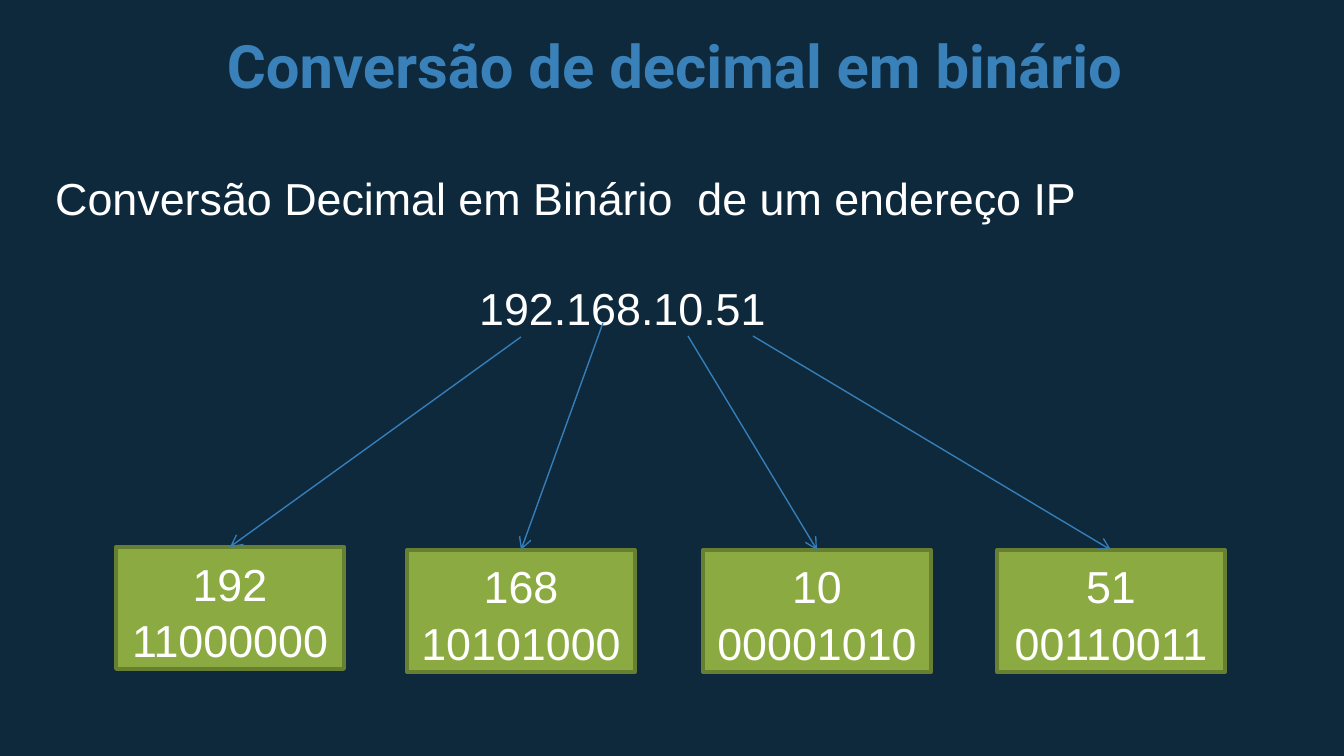
import pptx
import pptx.util
import pptx.dml.color
import pptx.enum.shapes
import pptx.enum.text
import pptx.oxml
import pptx.oxml.ns
from lxml import etree

RGBColor = pptx.dml.color.RGBColor
ALIGN = pptx.enum.text.PP_ALIGN
ANCHOR = pptx.enum.text.MSO_ANCHOR

NAVY = RGBColor(0x0E, 0x29, 0x3C)
TITLE_BLUE = RGBColor(0x3A, 0x81, 0xBA)
ARROW_BLUE = RGBColor(0x36, 0x7E, 0xB9)
GREEN = RGBColor(0x8B, 0xAB, 0x42)
DARK_GREEN = RGBColor(0x67, 0x7F, 0x31)
WHITE = RGBColor(0xFF, 0xFF, 0xFF)

# Content
TITLE = "Conversão de decimal em binário"
SUBTITLE = "Conversão Decimal em Binário  de um endereço IP"
ADDRESS = "192.168.10.51"
# decimal, binary, box left, box top, arrow start
OCTETS = [
    ("192", "11000000", 116, 547, (521, 337)),
    ("168", "10101000", 407, 550, (603, 323)),
    ("10", "00001010", 703, 550, (688, 336)),
    ("51", "00110011", 997, 550, (753, 336)),
]
BOX_WIDTH, BOX_HEIGHT = 228, 122


def px(length):
    return pptx.util.Emu(round(length * 914400 / 134.4))


def write(shape, lines, size=24, font="Arial", color=WHITE, bold=False,
          align=ALIGN.LEFT, anchor=ANCHOR.TOP, wrap=True, line_spacing=1.05):
    frame = shape.text_frame
    frame.word_wrap = wrap
    frame.vertical_anchor = anchor
    for index, line in enumerate(lines):
        paragraph = frame.add_paragraph() if index else frame.paragraphs[0]
        paragraph.alignment = align
        paragraph.line_spacing = line_spacing
        run = paragraph.add_run()
        run.text = line
        run.font.size = pptx.util.Pt(size)
        run.font.name = font
        run.font.bold = bold
        run.font.color.rgb = color
    return frame


def add_arrow(shapes, start, end):
    arrow = shapes.add_connector(pptx.enum.shapes.MSO_CONNECTOR.STRAIGHT,
                                 *map(px, start + end))
    arrow.line.color.rgb = ARROW_BLUE
    arrow.line.width = pptx.util.Pt(0.75)
    qn = pptx.oxml.ns.qn
    etree.SubElement(arrow.line._get_or_add_ln(), qn("a:tailEnd"), type="arrow")
    etree.SubElement(arrow._element.spPr, qn("a:effectLst"))


def main():
    deck = pptx.Presentation()
    deck.slide_width, deck.slide_height = px(1344), px(756)
    slide = deck.slides.add_slide(deck.slide_layouts[6])
    slide.background.fill.solid()
    slide.background.fill.fore_color.rgb = NAVY
    shapes = slide.shapes

    # Title
    title = shapes.add_textbox(px(22), px(19), px(1306), px(95))
    frame = write(title, [TITLE], size=32, font="Roboto", color=TITLE_BLUE,
                  bold=True, align=ALIGN.CENTER, anchor=ANCHOR.BOTTOM,
                  line_spacing=1.0)
    frame.margin_top = frame.margin_bottom = px(13)

    # Subtitle and address, the address indented under it
    intro = shapes.add_textbox(px(42), px(161), px(1235), px(176))
    address = write(intro, [SUBTITLE, ADDRESS]).paragraphs[1]
    address.space_before = pptx.util.Pt(29)
    address._p.get_or_add_pPr().set("marL", str(px(424)))

    # Octet boxes
    for decimal, binary, left, top, _ in OCTETS:
        box = shapes.add_shape(pptx.enum.shapes.MSO_SHAPE.RECTANGLE,
                               px(left), px(top), px(BOX_WIDTH), px(BOX_HEIGHT))
        box.shadow.inherit = False
        box.fill.solid()
        box.fill.fore_color.rgb = GREEN
        box.line.color.rgb = DARK_GREEN
        box.line.width = pptx.util.Pt(2)
        write(box, [decimal, binary], align=ALIGN.CENTER, wrap=False)

    # Arrows to the top centre of each box
    for _, _, left, top, start in OCTETS:
        add_arrow(shapes, start, (left + BOX_WIDTH // 2, top))

    deck.save("out.pptx")


if __name__ == "__main__":
    main()
